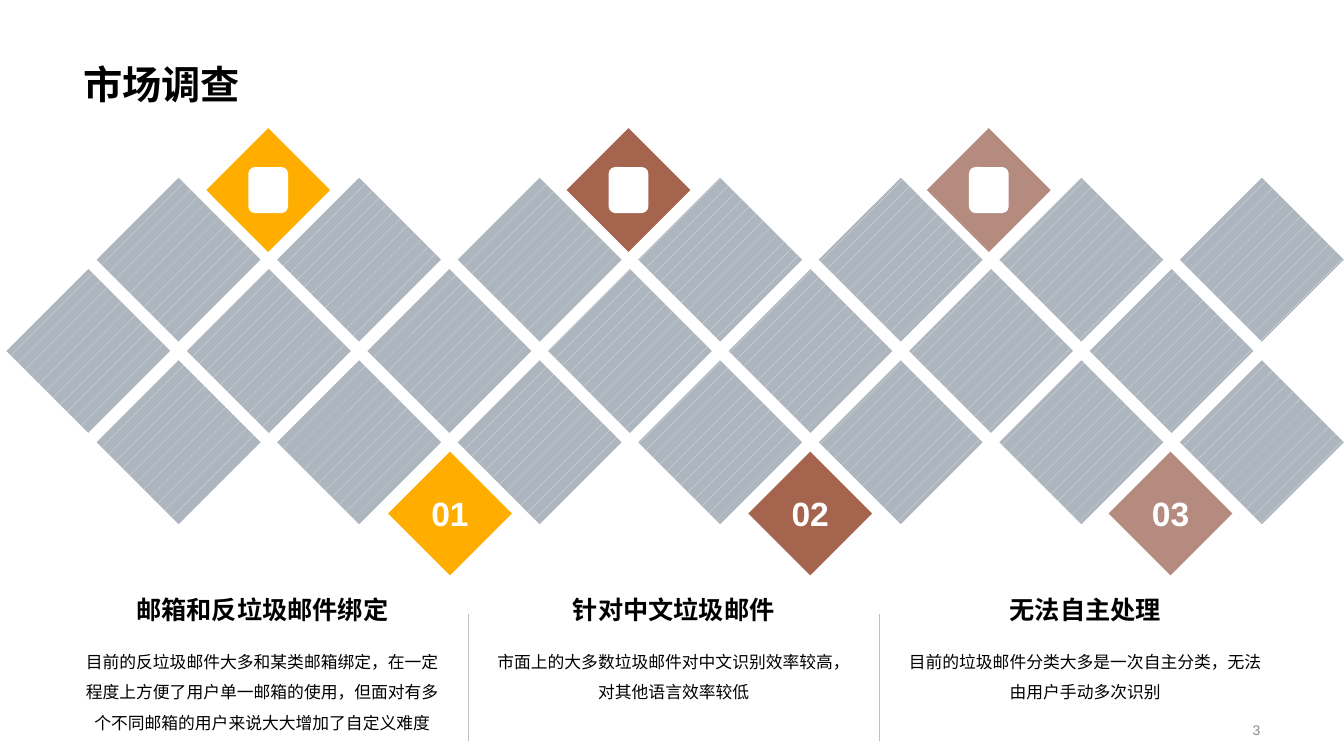
from lxml import etree
from pptx import Presentation
from pptx.dml.color import RGBColor
from pptx.enum import dml, shapes, text
from pptx.oxml import ns
from pptx.util import Cm, Pt

BLACK = RGBColor(0x00, 0x00, 0x00)
WHITE = RGBColor(0xFF, 0xFF, 0xFF)
GREY = RGBColor(0x8C, 0x8C, 0x8C)
RULE = RGBColor(0xBF, 0xBF, 0xBF)
TILE = RGBColor(0xAD, 0xB5, 0xBF)
TILE_DOT = RGBColor(0xE4, 0xE6, 0xEA)
ACCENTS = [RGBColor(0xFF, 0xAE, 0x00), RGBColor(0xA5, 0x64, 0x4E), RGBColor(0xB5, 0x8B, 0x80)]
LEFT, CENTER, RIGHT = text.PP_ALIGN.LEFT, text.PP_ALIGN.CENTER, text.PP_ALIGN.RIGHT
TOP, MIDDLE, BOTTOM = text.MSO_ANCHOR.TOP, text.MSO_ANCHOR.MIDDLE, text.MSO_ANCHOR.BOTTOM
COLUMNS = [
    ("邮箱和反垃圾邮件绑定",
     "目前的反垃圾邮件大多和某类邮箱绑定，在一定程度上方便了用户单一邮箱的使用，但面对有多个不同邮箱的用户来说大大增加了自定义难度"),
    ("针对中文垃圾邮件", "市面上的大多数垃圾邮件对中文识别效率较高，对其他语言效率较低"),
    ("无法自主处理", "目前的垃圾邮件分类大多是一次自主分类，无法由用户手动多次识别"),
]


def write(sp, words, size, color, bold=False, align=CENTER, anchor=MIDDLE, spacing=None):
    """Put one formatted run of text in a shape."""
    tf = sp.text_frame
    tf.vertical_anchor = anchor
    p = tf.paragraphs[0]
    p.alignment = align
    if spacing:
        p.line_spacing = spacing
    r = p.add_run()
    r.text = words
    r.font.name = "Arial"
    r.font.size = Pt(size)
    r.font.bold = bold
    r.font.color.rgb = color


def add_text(s, x, y, w, h, *args, **style):
    """Add a wrapping text box, in centimetres."""
    sp = s.shapes.add_textbox(Cm(x), Cm(y), Cm(w), Cm(h))
    sp.text_frame.word_wrap = True
    write(sp, *args, **style)


def add_solid(s, kind, x, y, w, h, color):
    """Add a plain filled shape, in centimetres."""
    sp = s.shapes.add_shape(kind, Cm(x), Cm(y), Cm(w), Cm(h))
    sp.shadow.inherit = False
    sp.fill.solid()
    sp.fill.fore_color.rgb = color
    sp.line.fill.background()
    return sp


def add_tiles(s, x, y, size=4.13, pitch=4.55, step=2.3):
    """Draw three staggered rows of seven patterned diamonds as one outline."""
    half = size / 2
    fb = s.shapes.build_freeform(Cm(x), Cm(y + step + half), scale=1.0)
    for row, indent in enumerate((pitch / 2, 0, pitch / 2)):
        for col in range(7):
            left, top = x + indent + col * pitch, y + row * step
            corners = [(left, top + half), (left + half, top),
                       (left + size, top + half), (left + half, top + size)]
            points = [(Cm(a), Cm(b)) for a, b in corners]
            fb.move_to(*points[0])
            fb.add_line_segments(points[1:], close=True)
    sp = fb.convert_to_shape()
    sp.shadow.inherit = False
    sp.fill.patterned()
    sp.fill.pattern = dml.MSO_PATTERN.PERCENT_5
    sp.fill.fore_color.rgb = TILE_DOT
    sp.fill.back_color.rgb = TILE
    sp.line.fill.background()


def add_badges(s, x, y, size=3.12, pitch=9.08):
    """Place the icon diamonds above the tiles and the numbered ones below."""
    for i, color in enumerate(ACCENTS):
        left = x + i * pitch
        add_solid(s, shapes.MSO_SHAPE.DIAMOND, left, y, size, size, color)
        w, h = 1, 1.16
        add_solid(s, shapes.MSO_SHAPE.ROUNDED_RECTANGLE,
                  left + (size - w) / 2, y + (size - h) / 2, w, h, WHITE)
        sp = add_solid(s, shapes.MSO_SHAPE.DIAMOND, left + 4.58, y + 8.15, size, size, color)
        sp.text_frame.word_wrap = False
        write(sp, f"{i + 1:02}", 24, WHITE, bold=True)


def add_columns(s, x, y, w=9.42, pitch=10.37):
    """Write the three findings with thin rules between them."""
    for i, (heading, body) in enumerate(COLUMNS):
        left = x + i * pitch
        add_text(s, left, y, w, 1.32, heading, 18, BLACK, bold=True)
        add_text(s, left, y + 1.34, w, 3, body, 12, BLACK, anchor=TOP, spacing=1.5)
        if i:
            rule = Cm(left - (pitch - w) / 2)
            ln = s.shapes.add_connector(shapes.MSO_CONNECTOR.STRAIGHT,
                                        rule, Cm(y + 0.76), rule, Cm(y + 3.96))
            ln.line.color.rgb = RULE
            ln.line.width = Pt(0.25)
            etree.SubElement(ln._element.spPr, ns.qn("a:effectLst"))


def main():
    """Build the market survey slide."""
    prs = Presentation()
    prs.slide_width, prs.slide_height = Cm(33.87), Cm(19.05)
    s = prs.slides.add_slide(prs.slide_layouts[6])
    add_text(s, 1.85, 0, 30.15, 2.84, "市场调查", 28, BLACK,
             bold=True, align=LEFT, anchor=BOTTOM, spacing=0.9)
    add_text(s, 23.93, 18.11, 8.08, 0.58, "3", 10, GREY, align=RIGHT)
    add_tiles(s, 0.16, 4.48)
    add_badges(s, 5.2, 3.23)
    add_columns(s, 1.9, 14.71)
    prs.save("out.pptx")


if __name__ == "__main__":
    main()
